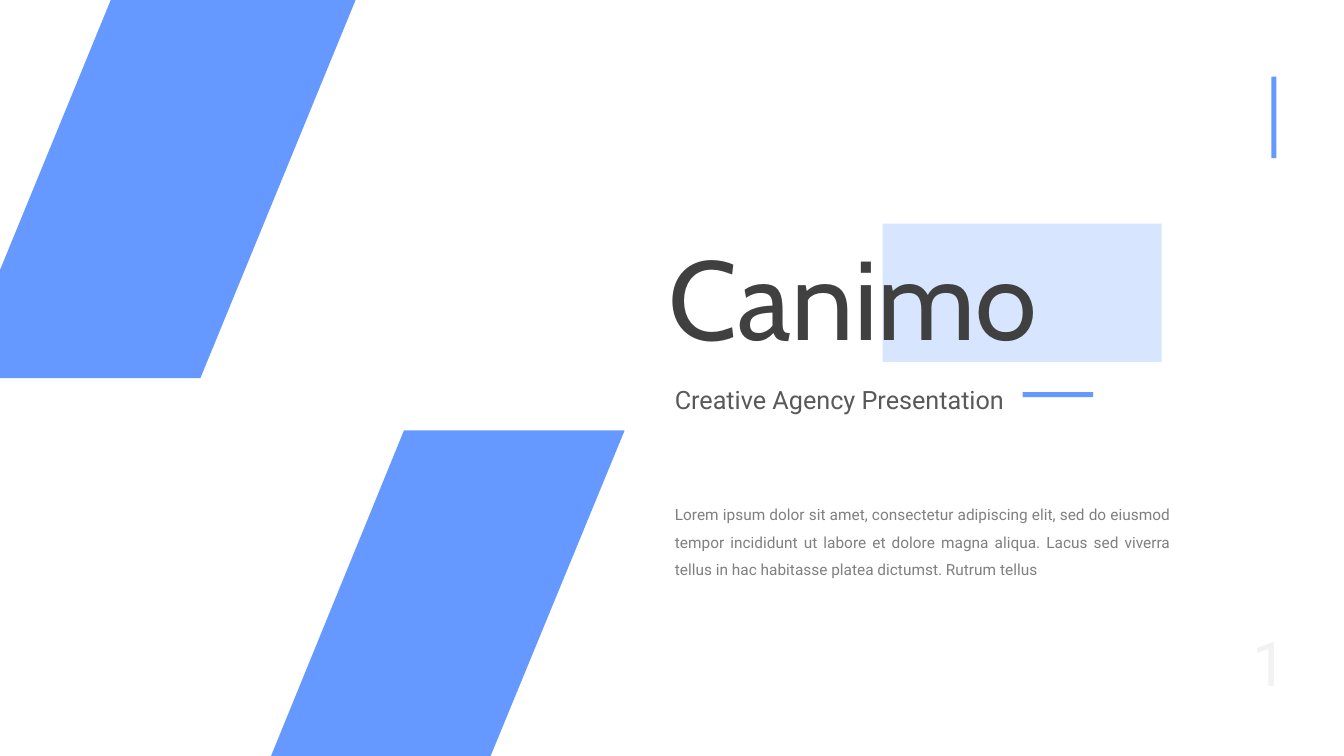
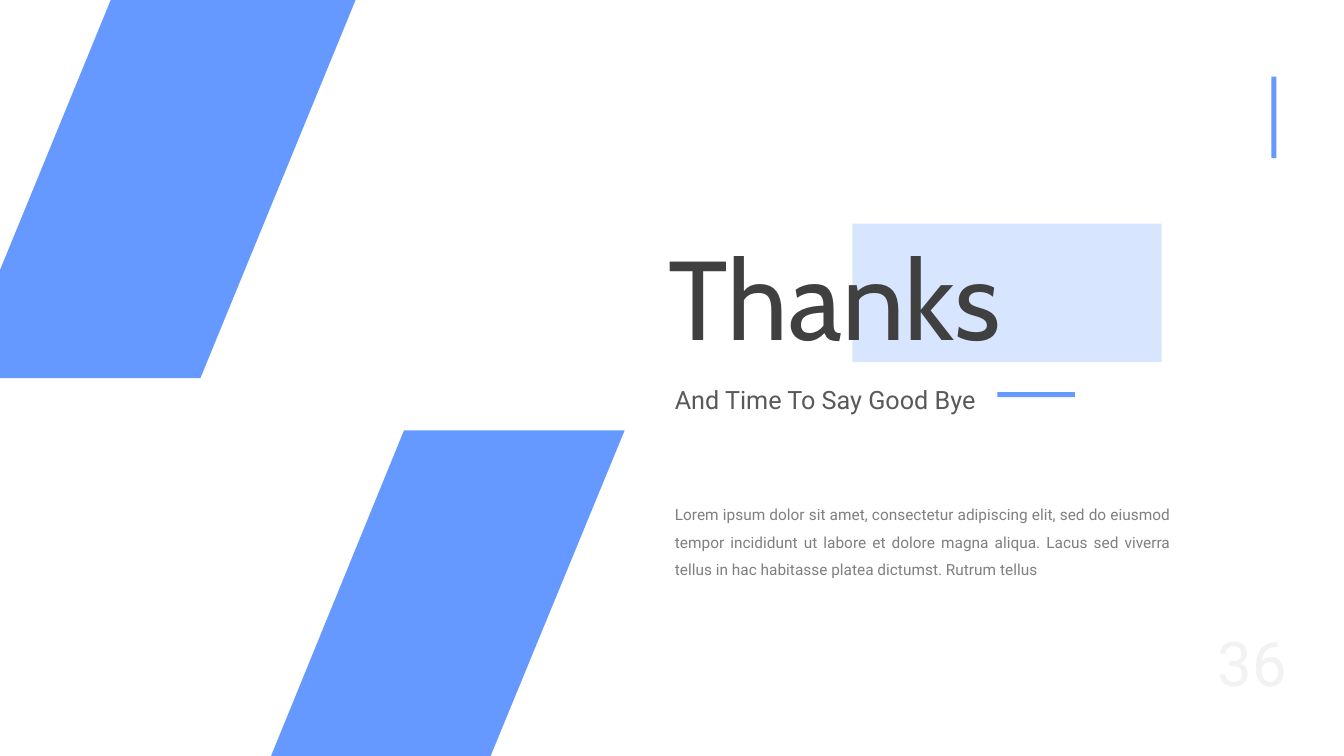
from lxml import etree
from pptx import Presentation
from pptx.dml.color import RGBColor
from pptx.enum.shapes import MSO_SHAPE
from pptx.enum.text import MSO_AUTO_SIZE, PP_ALIGN
from pptx.oxml.ns import qn
from pptx.util import Inches, Pt

RECTANGLE = MSO_SHAPE.RECTANGLE
GROW = MSO_AUTO_SIZE.SHAPE_TO_FIT_TEXT
LEFT, RIGHT, JUSTIFY = PP_ALIGN.LEFT, PP_ALIGN.RIGHT, PP_ALIGN.JUSTIFY

COLORS = {
    "accent": "6699FF",
    "title": "404040",
    "subtitle": "595959",
    "body": "7F7F7F",
    "number": "F2F2F2",
}
TITLE_FONT, BODY_FONT = "Cabin", "Roboto"
SLIDE_WIDTH, SLIDE_HEIGHT = 13.34, 7.5

UPPER_BAND = [(1.1, 0), (3.53, 0), (1.99, 3.75), (0, 3.75), (0, 2.68)]
LOWER_BAND = [(1.32, 0), (3.51, 0), (2.18, 3.23), (0, 3.23)]

INTRO = (
    "Lorem ipsum dolor sit amet, consectetur adipiscing elit, sed do eiusmod "
    "tempor incididunt ut labore et dolore magna aliqua. Lacus sed viverra "
    "tellus in hac habitasse platea dictumst. Rutrum tellus"
)


def paint(shape, alpha=None):
    """Give a shape the flat accent fill, optionally with a percentage of opacity."""
    shape.shadow.inherit = False
    shape.line.fill.background()
    shape.fill.solid()
    shape.fill.fore_color.rgb = RGBColor.from_string(COLORS["accent"])
    if alpha is not None:
        tint = shape.fill._xPr.find(qn("a:solidFill"))[0]
        etree.SubElement(tint, qn("a:alpha")).set("val", str(alpha * 1000))


def add_bar(slide, left, top, width, height, alpha=None):
    """Draw a plain accent rectangle."""
    bar = slide.shapes.add_shape(
        RECTANGLE, Inches(left), Inches(top), Inches(width), Inches(height)
    )
    paint(bar, alpha)


def add_band(slide, left, top, corners):
    """Draw a slanted band whose corners are measured from left and top."""
    points = [(Inches(left + x), Inches(top + y)) for x, y in corners]
    outline = slide.shapes.build_freeform(*points[0])
    outline.add_line_segments(points[1:], close=True)
    paint(outline.convert_to_shape())


def add_text(slide, text, left, top, width, height, size, color,
             font=BODY_FONT, align=LEFT, spacing=None):
    """Write one paragraph of styled text in a wrapping box."""
    box = slide.shapes.add_textbox(
        Inches(left), Inches(top), Inches(width), Inches(height)
    )
    frame = box.text_frame
    frame.word_wrap = True
    frame.auto_size = GROW
    frame.text = text
    paragraph = frame.paragraphs[0]
    paragraph.alignment = align
    paragraph.line_spacing = spacing
    style = paragraph.runs[0].font
    style.name = font
    style.size = Pt(size)
    style.color.rgb = RGBColor.from_string(COLORS[color])


def add_frame(slide, number):
    """Place the slanted bands, the side bar and the page number."""
    add_band(slide, 2.69, SLIDE_HEIGHT - 3.23, LOWER_BAND)
    add_band(slide, 0, 0, UPPER_BAND)
    add_bar(slide, SLIDE_WIDTH - 0.72, 0.76, 0.05, 0.81)
    add_text(slide, number, SLIDE_WIDTH - 1.97, 6.15, 1.5, 0.82, 44, "number",
             align=RIGHT)


def add_headline(slide, left, top, title, subtitle, highlight_width, dash_left, dash_width):
    """Place the highlighted title, the subtitle with its dash, and the intro."""
    highlight_right = left + 4.99
    add_bar(slide, highlight_right - highlight_width, top, highlight_width, 1.37, alpha=25)
    add_text(slide, title, left, top, 5.12, 1.44, 80, "title", font=TITLE_FONT)
    text_left = left + 0.06
    add_text(slide, subtitle, text_left, top + 1.39, 3.8, 0.55, 18, "subtitle",
             align=JUSTIFY, spacing=1.5)
    add_bar(slide, left + dash_left, top + 1.67, dash_width, 0.05)
    add_text(slide, INTRO, text_left, top + 2.65, 5.12, 0.93, 11, "body",
             align=JUSTIFY, spacing=1.5)


def add_cover(deck, number, **headline):
    """Add one cover-style slide."""
    slide = deck.slides.add_slide(deck.slide_layouts[6])
    add_frame(slide, number)
    add_headline(slide, 6.54, 2.22, **headline)


def main():
    """Build and save the opening and closing slides."""
    deck = Presentation()
    deck.slide_width = Inches(SLIDE_WIDTH)
    deck.slide_height = Inches(SLIDE_HEIGHT)
    add_cover(deck, "1", title="Canimo", subtitle="Creative Agency Presentation",
              highlight_width=2.77, dash_left=3.61, dash_width=0.7)
    add_cover(deck, "36", title="Thanks", subtitle="And Time To Say Good Bye",
              highlight_width=3.07, dash_left=3.36, dash_width=0.77)
    deck.save("out.pptx")


if __name__ == "__main__":
    main()
